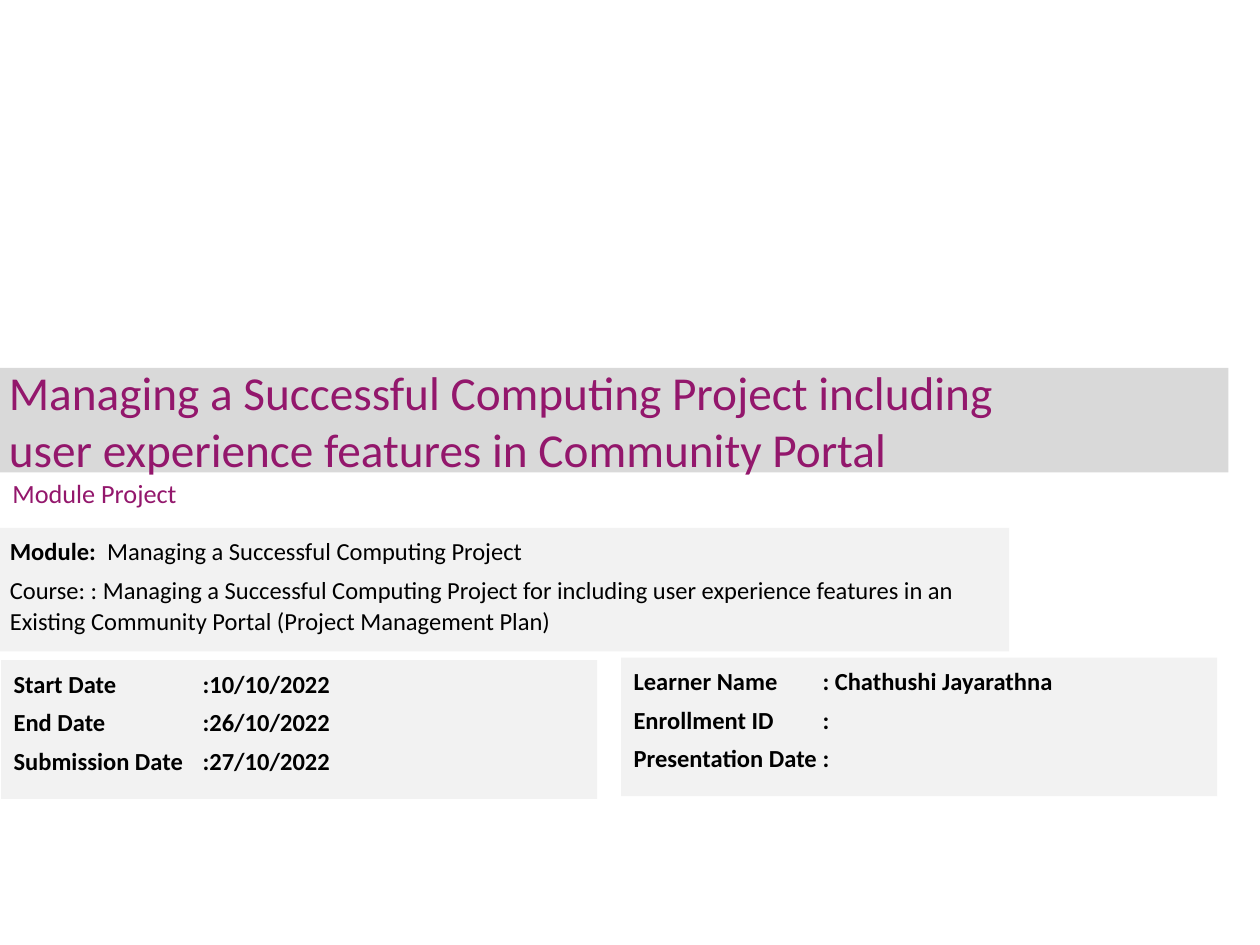
from lxml.etree import SubElement
from pptx import Presentation
from pptx.dml.color import RGBColor
from pptx.enum.shapes import MSO_SHAPE
from pptx.enum.text import MSO_ANCHOR, MSO_AUTO_SIZE, PP_ALIGN
from pptx.oxml.ns import qn
from pptx.util import Inches, Pt

PURPLE = RGBColor(0x93, 0x17, 0x6C)
BLACK = RGBColor(0x00, 0x00, 0x00)
TITLE_GRAY = RGBColor(0xD9, 0xD9, 0xD9)
PANEL_GRAY = RGBColor(0xF2, 0xF2, 0xF2)
FONT_NAME = "Calibri"


def add_text(paragraph, text, size=14, color=BLACK, bold=False):
    run = paragraph.add_run()
    run.text = text
    run.font.name = FONT_NAME
    run.font.size = Pt(size)
    run.font.color.rgb = color
    run.font.bold = bold


def add_tab_stop(paragraph, position):
    tab_list = SubElement(paragraph._p.get_or_add_pPr(), qn("a:tabLst"))
    SubElement(tab_list, qn("a:tab"), pos=str(position), algn="l")


class CoverSlide:
    """Style and element methods for the project cover slide."""

    def __init__(self, presentation):
        self.slide = presentation.slides.add_slide(presentation.slide_layouts[5])

    def place(self, shape, left, top, width, height):
        shape.left, shape.top = Inches(left), Inches(top)
        shape.width, shape.height = Inches(width), Inches(height)

    def title(self, lines, *box):
        title = self.slide.shapes.title
        self.place(title, *box)
        title.fill.solid()
        title.fill.fore_color.rgb = TITLE_GRAY
        frame = title.text_frame
        frame.word_wrap = True
        frame.auto_size = MSO_AUTO_SIZE.NONE
        frame.vertical_anchor = MSO_ANCHOR.MIDDLE
        frame.margin_left = frame.margin_right = Inches(0.07)
        frame.margin_top = frame.margin_bottom = Inches(0.04)
        paragraph = frame.paragraphs[0]
        paragraph.alignment = PP_ALIGN.LEFT
        for index, line in enumerate(lines):
            if index:
                paragraph.add_line_break()
            add_text(paragraph, line, size=27, color=PURPLE)

    def subtitle(self, text, *box):
        text_box = self.slide.shapes.add_textbox(*map(Inches, box))
        frame = text_box.text_frame
        frame.word_wrap = True
        frame.vertical_anchor = MSO_ANCHOR.MIDDLE
        add_text(frame.paragraphs[0], text, size=15, color=PURPLE)

    def panel(self, rows, *box, tab=None):
        shape = self.slide.shapes.add_shape(MSO_SHAPE.RECTANGLE, *map(Inches, box))
        shape.shadow.inherit = False
        shape.fill.solid()
        shape.fill.fore_color.rgb = PANEL_GRAY
        shape.line.fill.background()
        frame = shape.text_frame
        frame.word_wrap = True
        frame.vertical_anchor = MSO_ANCHOR.TOP
        for index, (label, value, value_bold) in enumerate(rows):
            paragraph = frame.add_paragraph() if index else frame.paragraphs[0]
            paragraph.alignment = PP_ALIGN.LEFT
            paragraph.line_spacing = Pt(18)
            paragraph.space_before = Pt(2 if index else 0)
            paragraph.space_after = Pt(2)
            if tab:
                add_tab_stop(paragraph, Inches(tab))
            if label:
                add_text(paragraph, label, bold=True)
            add_text(paragraph, value, bold=value_bold)

    def details(self, rows, *box):
        self.panel([(label, f"\t{value}", True) for label, value in rows], *box, tab=1.5)


def main():
    presentation = Presentation()
    presentation.slide_width = Inches(10)
    presentation.slide_height = Inches(7.5)
    cover = CoverSlide(presentation)
    cover.title(
        ["Managing a Successful Computing Project including",
         "user experience features in Community Portal"],
        0, 2.92, 9.75, 0.83,
    )
    cover.subtitle("Module Project", 0, 3.6, 6.42, 0.62)
    cover.details(
        [("Start Date", ":10/10/2022"),
         ("End Date", ":26/10/2022"),
         ("Submission Date", ":27/10/2022")],
        0.01, 5.24, 4.73, 1.1,
    )
    cover.panel(
        [("Module: ", " Managing a Successful Computing Project", False),
         ("", "Course: : Managing a Successful Computing Project for including user "
          "experience features in an Existing Community Portal (Project Management Plan)",
          False)],
        -0.02, 4.19, 8.03, 0.98,
    )
    cover.details(
        [("Learner Name", ": Chathushi Jayarathna"),
         ("Enrollment ID", ":"),
         ("Presentation Date", ":")],
        4.93, 5.22, 4.73, 1.1,
    )
    presentation.save("out.pptx")


if __name__ == "__main__":
    main()
